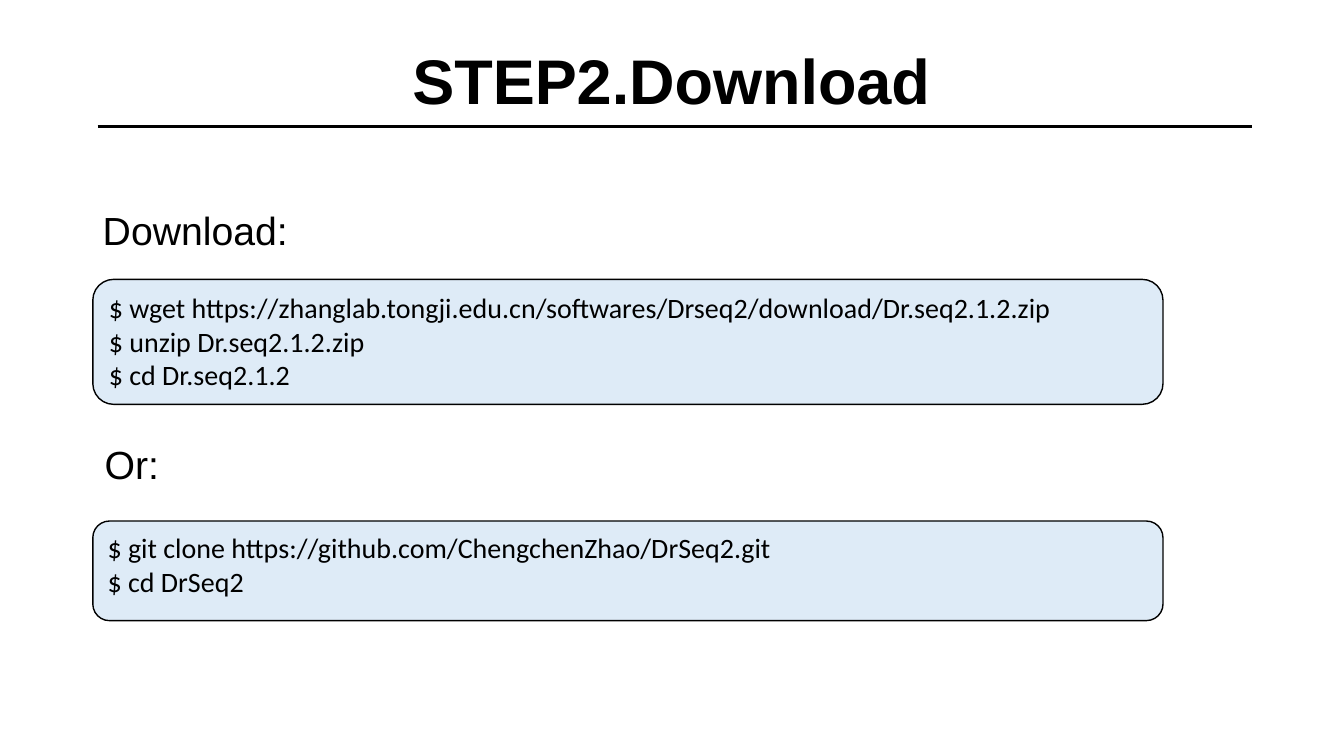
import pptx
import pptx.dml.color
import pptx.enum.shapes
import pptx.enum.text
import pptx.oxml.ns
import pptx.util
from lxml import etree

Cm = pptx.util.Cm
Pt = pptx.util.Pt
ANCHOR = pptx.enum.text.MSO_ANCHOR
ALIGN = pptx.enum.text.PP_ALIGN
BLACK = pptx.dml.color.RGBColor(0x00, 0x00, 0x00)
PALE_BLUE = pptx.dml.color.RGBColor(0xDE, 0xEB, 0xF7)


def write(tf, text, font="Arial", size=28, bold=False, align=ALIGN.LEFT,
          anchor=ANCHOR.TOP, spacing=1.0, wrap=True):
    """Fill a text frame, one paragraph per line of text."""
    tf.word_wrap = wrap
    tf.vertical_anchor = anchor
    tf.text = text
    for p in tf.paragraphs:
        p.alignment = align
        p.line_spacing = spacing
        p.space_before = Pt(0)
        for r in p.runs:
            r.font.name = font
            r.font.size = Pt(size)
            r.font.bold = bold
            r.font.color.rgb = BLACK


class CommandSlide:
    """Title, rule, headings and command boxes in one style."""

    def __init__(self, prs):
        self.s = prs.slides.add_slide(prs.slide_layouts[5])
        self.left, self.width = Cm(2.34), Cm(26.97)

    def title(self, text):
        sp = self.s.shapes.title
        sp.left, sp.top, sp.width, sp.height = Cm(2.39), Cm(0.84), Cm(29.06), Cm(2.34)
        write(sp.text_frame, text, size=45, bold=True, align=ALIGN.CENTER,
              anchor=ANCHOR.MIDDLE)
        sp.text_frame.auto_size = pptx.enum.text.MSO_AUTO_SIZE.NONE

    def rule(self, left, right, y):
        line = self.s.shapes.add_connector(
            pptx.enum.shapes.MSO_CONNECTOR.STRAIGHT, left, y, right, y)
        line.line.color.rgb = BLACK
        line.line.width = Pt(2)
        etree.SubElement(line._element.spPr, pptx.oxml.ns.qn("a:effectLst"))

    def heading(self, text, left, top, width):
        sp = self.s.shapes.add_textbox(left, top, width, Cm(1.33))
        write(sp.text_frame, text, spacing=0.9, wrap=False)
        sp.text_frame.auto_size = pptx.enum.text.MSO_AUTO_SIZE.SHAPE_TO_FIT_TEXT

    def commands(self, text, top, height):
        sp = self.s.shapes.add_shape(
            pptx.enum.shapes.MSO_SHAPE.ROUNDED_RECTANGLE,
            self.left, top, self.width, height)
        sp.shadow.inherit = False
        sp.fill.solid()
        sp.fill.fore_color.rgb = PALE_BLUE
        sp.line.color.rgb = BLACK
        sp.line.width = Pt(1)
        write(sp.text_frame, text, font="Calibri", size=20)


def main():
    prs = pptx.Presentation()
    prs.slide_width, prs.slide_height = Cm(33.87), Cm(19.05)
    slide = CommandSlide(prs)

    # Title with its rule
    slide.title("STEP2.Download")
    slide.rule(Cm(2.46), Cm(31.55), Cm(3.18))

    # Archive download
    slide.heading("Download:", Cm(2.34), Cm(5.21), Cm(5.23))
    slide.commands(
        "$ wget https://zhanglab.tongji.edu.cn/softwares/Drseq2/download/Dr.seq2.1.2.zip\n"
        "$ unzip Dr.seq2.1.2.zip\n"
        "$ cd Dr.seq2.1.2", Cm(7.04), Cm(3.15))

    # Repository clone
    slide.heading("Or:", Cm(2.39), Cm(11.1), Cm(1.9))
    slide.commands(
        "$ git clone https://github.com/ChengchenZhao/DrSeq2.git\n"
        "$ cd DrSeq2", Cm(13.13), Cm(2.51))

    prs.save("out.pptx")


if __name__ == "__main__":
    main()
